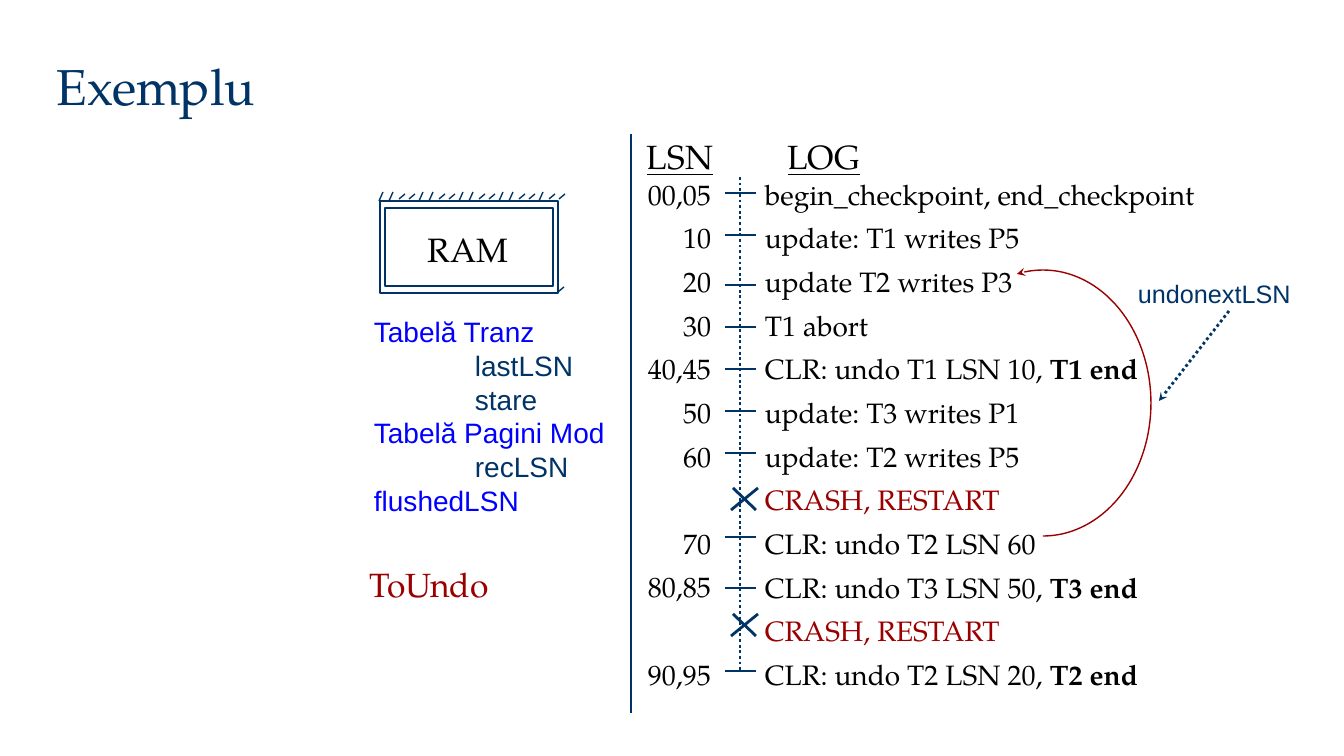
"""Build the slide showing a log with crashes during restart."""
import math

from lxml import etree
from pptx import Presentation
from pptx.dml.color import RGBColor
from pptx.enum.dml import MSO_LINE
from pptx.enum.shapes import MSO_CONNECTOR, MSO_SHAPE
from pptx.enum.text import MSO_ANCHOR, MSO_AUTO_SIZE, PP_ALIGN
from pptx.oxml.ns import qn
from pptx.util import Emu, Pt

STRAIGHT = MSO_CONNECTOR.STRAIGHT
RECTANGLE = MSO_SHAPE.RECTANGLE
DOTTED = MSO_LINE.ROUND_DOT
MIDDLE = MSO_ANCHOR.MIDDLE
GROW = MSO_AUTO_SIZE.SHAPE_TO_FIT_TEXT
LEFT, RIGHT = PP_ALIGN.LEFT, PP_ALIGN.RIGHT

SERIF, SANS = "TeX Gyre Pagella", "Arial"
NAVY, BLUE, RED, BLACK = "003366", "0000FF", "9A0000", "000000"

CRASH = "CRASH, RESTART"
LOG = [
    ("00,05", 193, "begin_checkpoint, end_checkpoint", ""),
    ("10", 235, "update: T1 writes P5", ""),
    ("20", 285, "update T2 writes P3", ""),
    ("30", 327, "T1 abort", ""),
    ("40,45", 369, "CLR: undo T1 LSN 10, ", "T1 end"),
    ("50", 411, "update: T3 writes P1", ""),
    ("60", 453, "update: T2 writes P5", ""),
    ("", 499, CRASH, ""),
    ("70", 537, "CLR: undo T2 LSN 60", ""),
    ("80,85", 588, "CLR: undo T3 LSN 50, ", "T3 end"),
    ("", 625, CRASH, ""),
    ("90,95", 671, "CLR: undo T2 LSN 20, ", "T2 end"),
]
MEMORY = [
    ("Tabelă Tranz", ["lastLSN", "stare"]),
    ("Tabelă Pagini Mod", ["recLSN"]),
    ("flushedLSN", []),
]
HATCHING = "SSFF" * 4 + "SFF"
HATCH_ENDS = {"S": (201, 4, 192), "F": (199, 6, 194)}
HATCH_LEFT, HATCH_STEP = 379, 10
TIMELINE_X = 740
LOG_ROW_POINTS = 31


def px(length):
    return Emu(round(length * 914400 / 100.8))


def color_of(value):
    return RGBColor.from_string(value)


def style_line(line, color, width, dash=None, **arrows):
    line.color.rgb = color_of(color)
    line.width = Pt(width)
    if dash:
        line.dash_style = dash
    properties = line.color and line.fill and line._get_or_add_ln()
    for end, kind in arrows.items():
        etree.SubElement(properties, qn(f"a:{end}"), type=kind)


def add_line(shapes, start, end, width=1, **style):
    connector = shapes.add_connector(STRAIGHT, *map(px, start + end))
    style_line(connector.line, NAVY, width, **style)
    etree.SubElement(connector._element.spPr, qn("a:effectLst"))


def add_frame(shapes, *box):
    shape = shapes.add_shape(RECTANGLE, *map(px, box))
    shape.shadow.inherit = False
    shape.fill.background()
    style_line(shape.line, NAVY, 1)


def row(*runs, indent=0, before=0):
    return {"runs": runs, "indent": indent, "before": before}


def add_text(shapes, box, rows, size=24, font=SERIF, color=BLACK, align=LEFT,
             spacing=None, underline=None, tab=None, wrap=False):
    if isinstance(rows, str):
        rows = [row((rows, color, None))]
    frame = shapes.add_textbox(*map(px, box)).text_frame
    frame.word_wrap = wrap
    frame.auto_size = GROW
    frame.vertical_anchor = MIDDLE if wrap else None
    for index, item in enumerate(rows):
        paragraph = frame.add_paragraph() if index else frame.paragraphs[0]
        properties = paragraph._p.get_or_add_pPr()
        if item["indent"]:
            properties.set("marL", str(px(item["indent"])))
        if tab:
            tabs = etree.SubElement(properties, qn("a:tabLst"))
            etree.SubElement(tabs, qn("a:tab"), pos=str(px(tab)), algn="l")
        paragraph.alignment = align
        if spacing:
            paragraph.line_spacing = spacing
        if item["before"]:
            paragraph.space_before = Pt(item["before"])
        for text, run_color, bold in item["runs"]:
            run = paragraph.add_run()
            run.text = text
            run.font.name = font
            run.font.size = Pt(size)
            run.font.bold = bold
            run.font.underline = underline
            run.font.color.rgb = color_of(run_color)


def add_memory(shapes):
    memory = shapes.add_group_shape().shapes
    add_text(memory, (418, 224, 102, 50), "RAM")
    add_frame(memory, 380, 201, 178, 92)
    for index, kind in enumerate(HATCHING):
        x = HATCH_LEFT + HATCH_STEP * index
        bottom, run, top = HATCH_ENDS[kind]
        add_line(memory, (x, bottom), (x + run, top))
    add_line(memory, (558, 292), (564, 287))
    add_frame(memory, 385, 208, 168, 78)

    rows = []
    for heading, fields in MEMORY:
        rows.append(row((heading, BLUE, None)))
        rows += [row((field, NAVY, None), indent=101) for field in fields]
    add_text(shapes, (364, 310, 253, 247), rows, size=20, font=SANS)


def add_log(shapes):
    entries, numbers, gap = [], [], 0
    for number, y, action, ending in LOG:
        runs = [(action, RED if action == CRASH else BLACK, None)]
        if ending:
            runs.append((ending, BLACK, True))
        entries.append(row(*runs))
        if number:
            numbers.append(row((number, BLACK, None), before=gap))
            gap = 0
            add_line(shapes, (725, y), (756, y), width=2)
        else:
            gap = LOG_ROW_POINTS
            add_line(shapes, (733, y - 11), (756, y + 11), width=2)
            add_line(shapes, (758, y - 11), (731, y + 11), width=2)
    add_line(shapes, (TIMELINE_X, 177), (TIMELINE_X, 670), width=2, dash=DOTTED)
    add_text(shapes, (637, 131, 237, 50), "LSN\tLOG", underline=True, tab=141)
    add_text(shapes, (637, 162, 84, 536), numbers, size=20, align=RIGHT, spacing=1.3)
    add_text(shapes, (755, 162, 454, 536), entries, size=20, spacing=1.3)


def add_undo_arc(shapes):
    center_x, center_y, radius_x, radius_y = 1043, 403, 108, 133
    points = []
    for degrees in range(-104, 91, 2):
        angle = math.radians(degrees)
        points.append((px(center_x + radius_x * math.cos(angle)),
                       px(center_y + radius_y * math.sin(angle))))
    builder = shapes.build_freeform(*points[0], scale=1.0)
    builder.add_line_segments(points[1:], close=False)
    arc = builder.convert_to_shape()
    arc.shadow.inherit = False
    arc.fill.background()
    style_line(arc.line, RED, 1, headEnd="stealth")


def main():
    presentation = Presentation()
    presentation.slide_width, presentation.slide_height = px(1344), px(756)
    slide = presentation.slides.add_slide(presentation.slide_layouts[6])
    shapes = slide.shapes
    add_text(shapes, (47, 49, 1130, 72), "Exemplu", size=36, color=NAVY, wrap=True)
    add_text(shapes, (360, 559, 145, 50), "ToUndo", color=RED)
    add_memory(shapes)
    add_log(shapes)
    add_line(shapes, (631, 134), (631, 713))
    add_text(shapes, (1128, 273, 174, 40), "undonextLSN", size=18, font=SANS, color=NAVY)
    add_line(shapes, (1229, 311), (1159, 401), width=2, dash=DOTTED, tailEnd="stealth")
    add_undo_arc(shapes)
    presentation.save("out.pptx")


if __name__ == "__main__":
    main()
